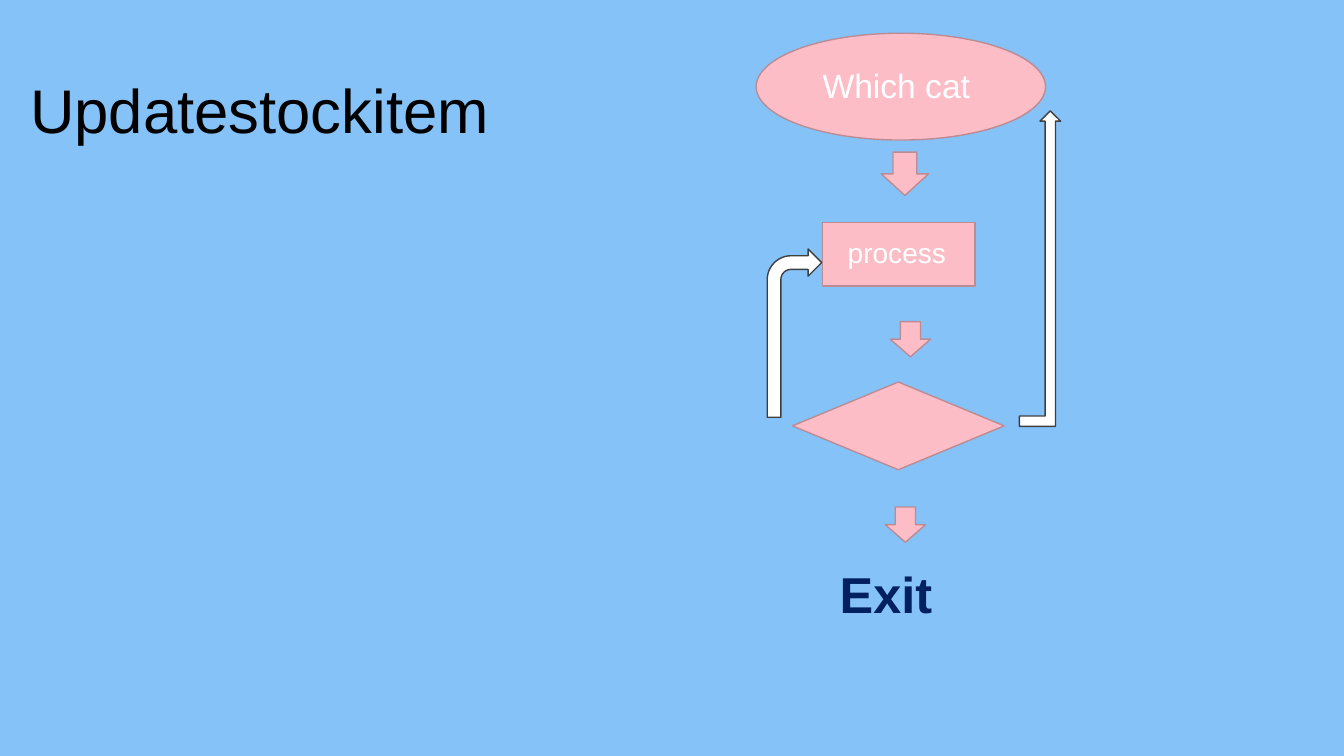
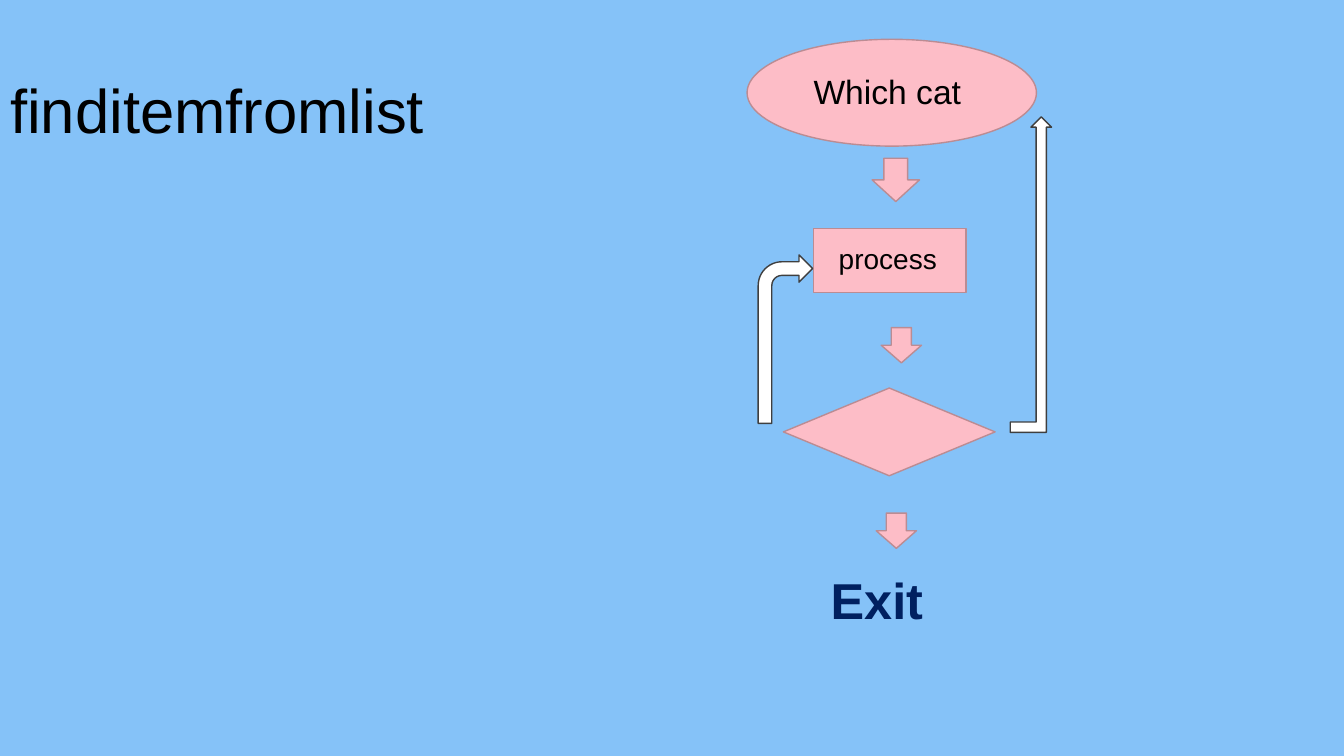
from dataclasses import dataclass

from pptx import Presentation
from pptx import util as u
from pptx.dml.color import RGBColor
from pptx.enum import shapes, text

SHAPE = shapes.MSO_SHAPE


@dataclass(frozen=True)
class Theme:
    font: str = "Arial"
    background: str = "85C2F8"
    pink: str = "FDBDC7"
    pink_line: str = "BB8C93"
    white: str = "FFFFFF"
    grey_line: str = "3F3F3F"
    black: str = "000000"
    navy: str = "002060"
    title_size: int = 44
    exit_size: int = 36
    start_size: int = 24
    step_size: int = 20
    line_width: int = 1


THEME = Theme()


def rgb(value):
    return RGBColor.from_string(value)


def write(tf, words, *, size, color, bold=False):
    """Put one formatted line of text in a text frame."""
    tf.word_wrap = True
    tf.auto_size = text.MSO_AUTO_SIZE.NONE
    tf.vertical_anchor = text.MSO_ANCHOR.TOP
    p = tf.paragraphs[0]
    p.alignment = text.PP_ALIGN.LEFT
    r = p.add_run()
    r.text = words
    r.font.name = THEME.font
    r.font.size = u.Pt(size)
    r.font.bold = bold
    r.font.color.rgb = rgb(color)


class Deck:
    """Holds the presentation, its style and the current slide."""

    def __init__(self):
        self.prs = Presentation()
        self.prs.slide_width = u.Inches(13.33)
        self.prs.slide_height = u.Inches(7.5)
        fill = self.prs.slide_master.background.fill
        fill.solid()
        fill.fore_color.rgb = rgb(THEME.background)
        self.s = None
        self.dx = self.dy = 0

    def new_slide(self, title, left, width, shift):
        self.s = self.prs.slides.add_slide(self.prs.slide_layouts[5])
        self.dx, self.dy = shift
        sp = self.s.shapes.title
        sp.left, sp.top = u.Inches(left), u.Inches(0.66)
        sp.width, sp.height = u.Inches(width), u.Inches(0.84)
        write(sp.text_frame, title, size=THEME.title_size, color=THEME.black)

    def place(self, left, top, width, height):
        """Move a chart position by the shift of the current slide."""
        return (u.Inches(left + self.dx), u.Inches(top + self.dy),
                u.Inches(width), u.Inches(height))

    def shape(self, kind, box, fill=THEME.pink, line=THEME.pink_line):
        sp = self.s.shapes.add_shape(kind, *self.place(*box))
        sp.shadow.inherit = False
        sp.fill.solid()
        sp.fill.fore_color.rgb = rgb(fill)
        sp.line.color.rgb = rgb(line)
        sp.line.width = u.Pt(THEME.line_width)

    def loop_arrow(self, kind, box):
        self.shape(kind, box, THEME.white, THEME.grey_line)

    def label(self, words, box, **style):
        sp = self.s.shapes.add_textbox(*self.place(*box))
        write(sp.text_frame, words, **style)

    def flowchart(self, label_color):
        # Steps
        self.shape(SHAPE.OVAL, (7.5, 0.33, 2.87, 1.06))
        self.shape(SHAPE.RECTANGLE, (8.16, 2.21, 1.51, 0.63))
        self.shape(SHAPE.DIAMOND, (7.86, 3.79, 2.1, 0.87))

        # Arrows between the steps
        for box in ((8.74, 1.51, 0.47, 0.43),
                    (8.83, 3.19, 0.4, 0.35),
                    (8.78, 5.03, 0.4, 0.35)):
            self.shape(SHAPE.DOWN_ARROW, box)

        # Labels
        self.label("Which cat", (8.06, 0.59, 2.49, 0.5),
                   size=THEME.start_size, color=label_color)
        self.label("process", (8.31, 2.29, 1.4, 0.44),
                   size=THEME.step_size, color=label_color)
        self.label("Exit", (8.23, 5.54, 2.68, 0.71),
                   size=THEME.exit_size, color=THEME.navy, bold=True)

        # Arrows back from the decision
        self.loop_arrow(SHAPE.BENT_UP_ARROW, (10.11, 1.1, 0.41, 3.13))
        self.loop_arrow(SHAPE.BENT_ARROW, (7.61, 2.47, 0.54, 1.67))


def main():
    deck = Deck()

    # Slide 1: update a stock item
    deck.new_slide("Updatestockitem", left=0.2, width=6.07, shift=(0, 0))
    deck.flowchart(THEME.white)

    # Slide 2: find an item
    deck.new_slide("finditemfromlist", left=0, width=5.77, shift=(-0.09, 0.06))
    deck.flowchart(THEME.black)

    deck.prs.save("out.pptx")


if __name__ == "__main__":
    main()
